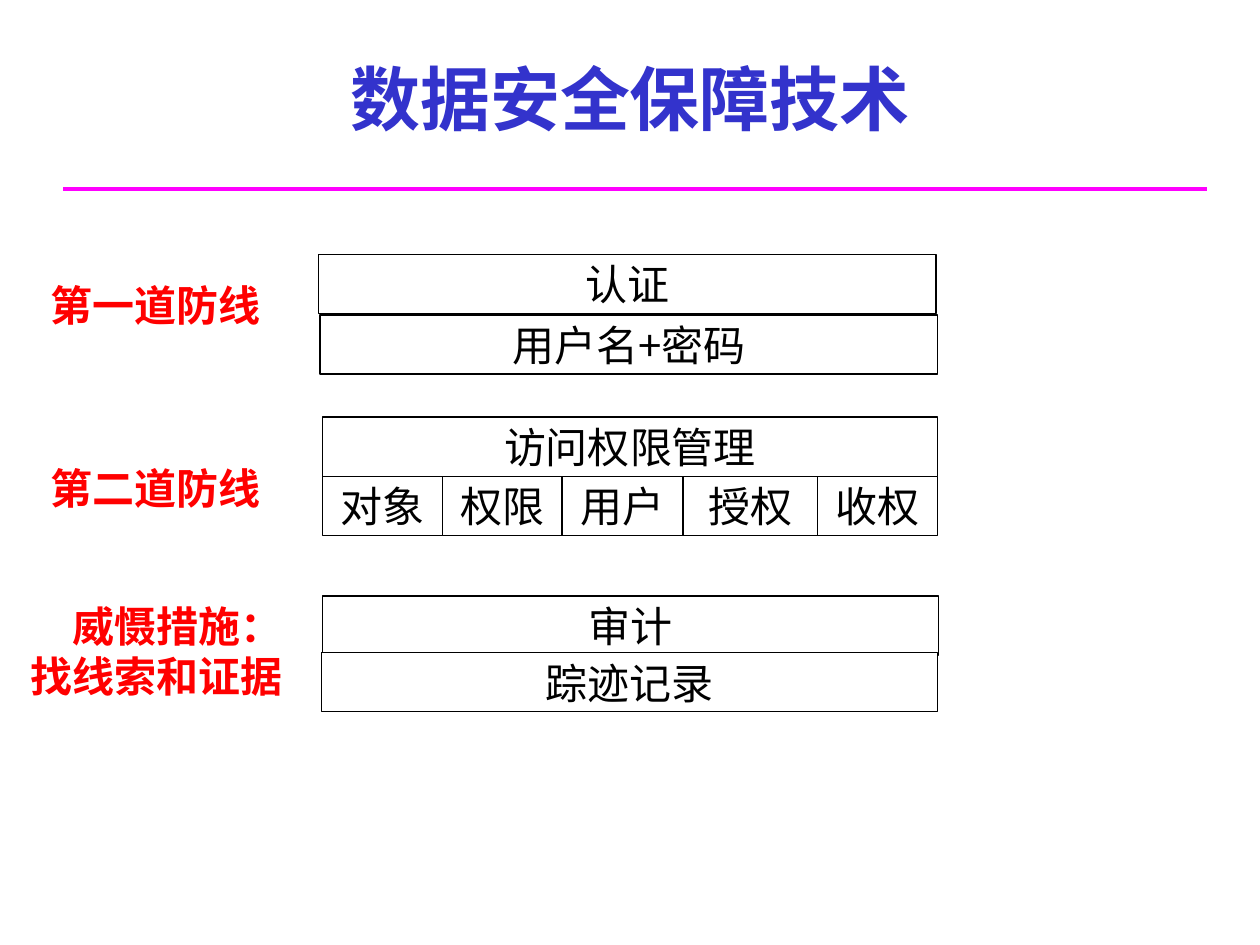
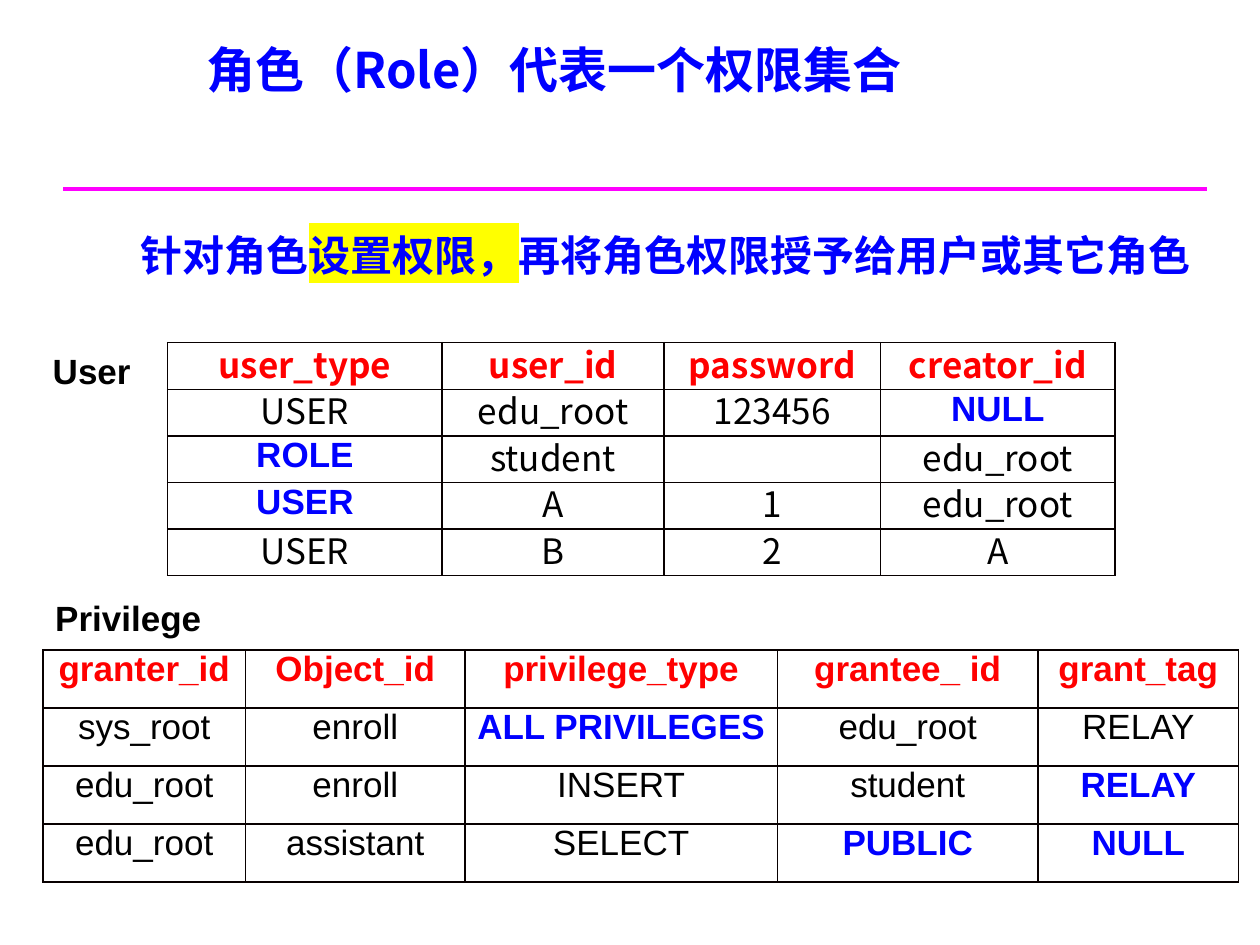
from dataclasses import dataclass
from itertools import accumulate

from lxml.etree import SubElement
from pptx import Presentation
from pptx.dml.color import RGBColor as Color
from pptx.enum.shapes import MSO_CONNECTOR as Connector, MSO_SHAPE as Shape
from pptx.enum.text import MSO_ANCHOR as Anchor, MSO_AUTO_SIZE as AutoSize, PP_ALIGN as Align
from pptx.oxml.ns import qn
from pptx.util import Pt

EMU_PER_PX = 9144
TITLE_ONLY = 5


@dataclass(frozen=True)
class Theme:
    """Colours, fonts and type sizes of the deck."""

    ink: str = "000000"
    paper: str = "FFFFFF"
    indigo: str = "3333CC"
    blue: str = "0000FF"
    red: str = "FF0000"
    rule: str = "FF00FF"
    marker: str = "FFFF00"
    grid: str = "080000"
    cjk: str = "Noto Sans CJK SC"
    latin: str = "Arial"
    heading: int = 40
    subheading: int = 28
    body: int = 24
    small: int = 20


def px(length):
    """Turn px into EMU."""
    return length * EMU_PER_PX


def add_solid(parent, color):
    """Append a solid fill to an XML element."""
    SubElement(SubElement(parent, qn("a:solidFill")), qn("a:srgbClr"), val=color)


class SlideWriter:
    """Holds the theme and the current page and draws elements on it."""

    def __init__(self, deck, theme):
        self.deck, self.theme, self.page = deck, theme, None

    def style(self, span, size, color, bold=False, font=None):
        """Format one run, for Latin and East Asian letters alike."""
        span.font.size, span.font.bold = Pt(size), bold
        span.font.color.rgb = Color.from_string(color)
        span.font.name = font or self.theme.cjk
        latin = span.font._element.find(qn("a:latin"))
        east_asian = SubElement(span.font._element, qn("a:ea"), typeface=span.font.name)
        latin.addnext(east_asian)

    def highlight(self, span):
        """Mark a formatted run with the marker colour."""
        properties = span.font._element
        mark = SubElement(properties, qn("a:highlight"))
        SubElement(mark, qn("a:srgbClr"), val=self.theme.marker)
        properties.find(qn("a:latin")).addprevious(mark)

    def fill_frame(self, frame, text, align, *look, **options):
        """Write text into a frame and format all of its runs."""
        frame.text = text
        frame.word_wrap, frame.auto_size = True, AutoSize.NONE
        frame.vertical_anchor = Anchor.MIDDLE
        for para in frame.paragraphs:
            para.alignment = align
            for span in para.runs:
                self.style(span, *look, **options)

    def new_page(self, title, place, size, color, align=Align.CENTER, spacing=1.0):
        """Start a page with its title and the rule below it."""
        self.page = self.deck.slides.add_slide(self.deck.slide_layouts[TITLE_ONLY])
        box = self.page.shapes.title
        box.left, box.top, box.width, box.height = map(px, place)
        self.fill_frame(box.text_frame, title, align, size, color, bold=True)
        box.text_frame.paragraphs[0].line_spacing = spacing
        rule = self.page.shapes.add_connector(
            Connector.STRAIGHT, px(50), px(150), px(958), px(150))
        rule.line.color.rgb = Color.from_string(self.theme.rule)
        rule.line.width = Pt(2)
        SubElement(rule._element.spPr, qn("a:effectLst"))

    def label(self, text, place, size, color, align=Align.LEFT, font=None):
        """Add a bold text box."""
        box = self.page.shapes.add_textbox(*map(px, place))
        self.fill_frame(box.text_frame, text, align, size, color, bold=True, font=font)
        return box

    def sentence(self, pieces, place):
        """Add a one-line sentence from (text, is_marked) pieces."""
        box = self.label("", place, self.theme.body, self.theme.blue)
        for text, is_marked in pieces:
            span = box.text_frame.paragraphs[0].add_run()
            span.text = text
            self.style(span, self.theme.body, self.theme.blue, bold=True)
            if is_marked:
                self.highlight(span)

    def block(self, text, place, side_inset=6):
        """Add an outlined rectangle with centred text."""
        box = self.page.shapes.add_shape(Shape.RECTANGLE, *map(px, place))
        box.shadow.inherit = False
        box.fill.solid()
        box.fill.fore_color.rgb = Color.from_string(self.theme.paper)
        box.line.color.rgb = Color.from_string(self.theme.ink)
        box.line.width = Pt(0.75)
        frame = box.text_frame
        frame.margin_left = frame.margin_right = px(side_inset)
        frame.margin_top = frame.margin_bottom = px(1)
        self.fill_frame(frame, text, Align.CENTER, self.theme.body, self.theme.ink)

    def block_row(self, texts, left, top, widths, height):
        """Add rectangles side by side."""
        for text, width, offset in zip(texts, widths, accumulate(widths, initial=0)):
            self.block(text, (left + offset, top, width, height), side_inset=0)

    def cell(self, cell, text, color, bold, font):
        """Write one table cell with its four borders."""
        cell.margin_left = cell.margin_right = px(7)
        cell.margin_top = cell.margin_bottom = 0
        properties = cell._tc.get_or_add_tcPr()
        for side in ("a:lnL", "a:lnR", "a:lnT", "a:lnB"):
            add_solid(SubElement(properties, qn(side), w=str(Pt(1))), self.theme.grid)
        cell.fill.background()
        cell.text = text
        para = cell.text_frame.paragraphs[0]
        para.alignment = Align.CENTER
        if font == self.theme.cjk:
            para.line_spacing = Pt(26)
        for span in para.runs:
            self.style(span, self.theme.small, color, bold, font)

    def table(self, rows, left, top, widths, row_height, font, emphasis):
        """Add a table with a red header and blue emphasised cells."""
        theme = self.theme
        frame = self.page.shapes.add_table(
            len(rows), len(widths), px(left), px(top),
            px(sum(widths)), px(row_height * len(rows)))
        table = frame.table
        table.first_row = table.horz_banding = False
        for column, width in zip(table.columns, widths):
            column.width = px(width)
        for r, row in enumerate(rows):
            table.rows[r].height = px(row_height)
            for c, text in enumerate(row):
                if r == 0:
                    look = theme.red, True, font
                elif (r, c) in emphasis:
                    look = theme.blue, True, theme.latin
                else:
                    look = theme.ink, False, font
                self.cell(table.cell(r, c), text, *look)


def draw_defences(writer):
    """Draw the page on the lines of defence."""
    theme = writer.theme
    writer.new_page("数据安全保障技术", (258, 39, 484, 77), theme.heading, theme.indigo)
    for text, place in (
        ("审计", (256, 473, 489, 47)),
        ("踪迹记录", (255, 518, 489, 47)),
        ("访问权限管理", (256, 331, 488, 47)),
        ("认证", (253, 202, 490, 47)),
        ("用户名+密码", (254, 250, 490, 47)),
    ):
        writer.block(text, place)
    writer.block_row(("对象", "权限", "用户", "授权", "收权"),
                     256, 378, (95, 95, 96, 107, 95), 47)
    for text, top in (("第一道防线", 217), ("第二道防线", 362)):
        writer.label(text, (30, top, 192, 50), theme.body, theme.red)
    writer.label("威慑措施：\n找线索和证据", (10, 471, 224, 91),
                 theme.body, theme.red, Align.RIGHT)


def draw_roles(writer):
    """Draw the page on roles and privileges."""
    theme = writer.theme
    writer.new_page("角色（Role）代表一个权限集合", (154, 19, 783, 62),
                    theme.subheading, theme.blue, Align.JUSTIFY, 1.2)
    for text, place in (("User", (32, 272, 91, 44)), ("Privilege", (34, 468, 140, 44))):
        writer.label(text, place, theme.small, theme.ink, font=theme.latin)
    users = (
        ("user_type", "user_id", "password", "creator_id"),
        ("USER", "edu_root", "123456", "NULL"),
        ("ROLE", "student", "", "edu_root"),
        ("USER", "A", "1", "edu_root"),
        ("USER", "B", "2", "A"),
    )
    writer.table(users, 133, 272, (218, 176, 172, 186), 37, theme.cjk,
                 {(1, 3), (2, 0), (3, 0)})
    privileges = (
        ("granter_id", "Object_id", "privilege_type", "grantee_ id", "grant_tag"),
        ("sys_root", "enroll", "ALL PRIVILEGES", "edu_root", "RELAY"),
        ("edu_root", "enroll", "INSERT", "student", "RELAY"),
        ("edu_root", "assistant", "SELECT", "PUBLIC", "NULL"),
    )
    writer.table(privileges, 34, 516, (161, 174, 248, 207, 159), 46, theme.latin,
                 {(1, 2), (2, 4), (3, 3), (3, 4)})
    writer.sentence((("针对角色", False), ("设置权限，", True),
                     ("再将角色权限授予给用户或其它角色", False)), (102, 177, 868, 50))


def main():
    """Build and save the deck."""
    deck = Presentation()
    deck.slide_width, deck.slide_height = px(1000), px(750)
    writer = SlideWriter(deck, Theme())
    draw_defences(writer)
    draw_roles(writer)
    deck.save("out.pptx")


if __name__ == "__main__":
    main()
